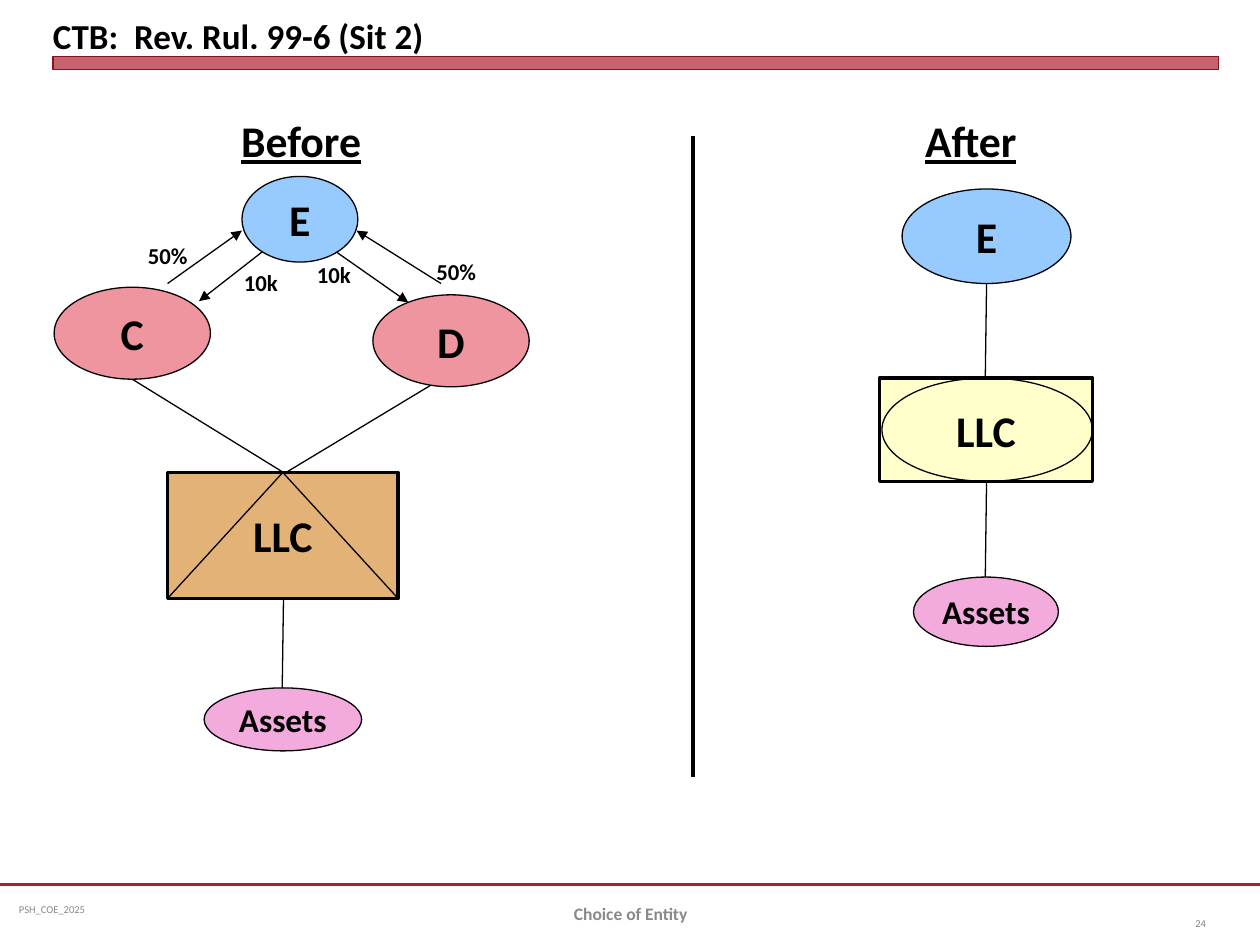
from lxml import etree
from pptx import Presentation
from pptx.dml.color import RGBColor
from pptx.enum import shapes, text
from pptx.oxml import ns
from pptx.util import Inches, Pt

BLACK = RGBColor(0, 0, 0)
RED = RGBColor(0xB0, 0x1C, 0x2E)
DARK = RGBColor(0x82, 0x15, 0x22)
GRAY = RGBColor(0x89, 0x89, 0x89)
DIM = RGBColor(0x80, 0x80, 0x80)
BLUE = RGBColor(0x97, 0xCB, 0xFF)
ROSE = RGBColor(0xEE, 0x95, 0xA0)
TAN = RGBColor(0xE3, 0xB2, 0x76)
CREAM = RGBColor(0xFF, 0xFF, 0xCC)
PINK = RGBColor(0xF3, 0xAB, 0xDE)

OVAL = shapes.MSO_SHAPE.OVAL
RECT = shapes.MSO_SHAPE.RECTANGLE
PEAK = shapes.MSO_SHAPE.ISOSCELES_TRIANGLE
LEFT, MID, RIGHT = text.PP_ALIGN.LEFT, text.PP_ALIGN.CENTER, text.PP_ALIGN.RIGHT


def write(shape, words, size=25, color=BLACK, bold=True, under=False,
          align=MID, anchor=text.MSO_ANCHOR.MIDDLE, wrap=False, pad=(0.1, 0.05)):
    """Put formatted words in a shape."""
    frame = shape.text_frame
    frame.auto_size = text.MSO_AUTO_SIZE.NONE
    frame.word_wrap = wrap
    frame.vertical_anchor = anchor
    frame.margin_left = frame.margin_right = Inches(pad[0])
    frame.margin_top = frame.margin_bottom = Inches(pad[1])
    para = frame.paragraphs[0]
    para.alignment = align
    run = para.add_run()
    run.text = words
    font = run.font
    font.name, font.size, font.bold, font.underline = "Calibri", Pt(size), bold, under
    font.color.rgb = color


def label(slide, words, box, **style):
    """Add a text box."""
    write(slide.shapes.add_textbox(*map(Inches, box)), words, **style)


def node(slide, kind, box, fill=None, words="", size=25, width=0.75, edge=BLACK):
    """Add an outlined shape, with its name if it has one."""
    shape = slide.shapes.add_shape(kind, *map(Inches, box))
    shape.shadow.inherit = False
    if fill is None:
        shape.fill.background()
    else:
        shape.fill.solid()
        shape.fill.fore_color.rgb = fill
    shape.line.color.rgb = edge
    shape.line.width = Pt(width)
    if words:
        write(shape, words, size=size)
    return shape


def link(slide, start, end, color=BLACK, width=0.75, arrow=False):
    """Add a straight line, with an arrowhead at its end if asked."""
    line = slide.shapes.add_connector(
        shapes.MSO_CONNECTOR.STRAIGHT, *map(Inches, (*start, *end)))
    line.line.color.rgb = color
    line.line.width = Pt(width)
    if arrow:
        etree.SubElement(line.line._get_or_add_ln(), ns.qn("a:tailEnd"), type="triangle")
    etree.SubElement(line._element.spPr, ns.qn("a:effectLst"))


def frame(slide):
    """Add the title, its bar and the footer."""
    title = slide.shapes.title
    title.left, title.top, title.width, title.height = map(Inches, (0.42, 0.05, 9.25, 0.4))
    write(title, "CTB:  Rev. Rul. 99-6 (Sit 2)", size=20, align=LEFT,
          anchor=text.MSO_ANCHOR.BOTTOM, wrap=True, pad=(0, 0))
    bar = node(slide, RECT, (0.42, 0.45, 9.25, 0.1), RED, width=0, edge=DARK)
    tint = bar._element.spPr.find(".//" + ns.qn("a:srgbClr"))
    etree.SubElement(tint, ns.qn("a:alpha"), val="69000")
    link(slide, (0, 7.02), (10, 7.02), RED, 1.25)
    label(slide, "PSH_COE_2025", (0.08, 7.02, 2.58, 0.4), size=6, color=GRAY,
          bold=False, align=LEFT, wrap=True, pad=(0.07, 0.04))
    label(slide, "Choice of Entity", (3.42, 7.05, 3.17, 0.4), size=10, color=GRAY)
    label(slide, "24", (9.17, 7.08, 0.5, 0.4), size=6, color=DIM, bold=False,
          align=RIGHT, anchor=text.MSO_ANCHOR.BOTTOM, wrap=True, pad=(0.1, 0.1))


def before(slide):
    """Draw the structure before the sale."""
    label(slide, "Before", (1.8, 0.85, 1.18, 0.52), under=True)
    llc = (1.33, 3.75, 1.83, 1)
    node(slide, OVAL, (0.43, 2.28, 1.24, 0.73), ROSE, "C")
    node(slide, RECT, llc, TAN, "LLC", width=2)
    node(slide, PEAK, llc)
    for start, end in (((1.05, 3.01), (2.25, 3.75)), ((3.63, 2.93), (2.27, 3.75)),
                       ((2.25, 4.75), (2.24, 5.46))):
        link(slide, start, end)
    node(slide, OVAL, (1.62, 5.46, 1.25, 0.5), PINK, "Assets", 19)
    node(slide, OVAL, (1.92, 1.4, 0.92, 0.68), BLUE, "E")
    node(slide, OVAL, (2.96, 2.34, 1.24, 0.73), ROSE, "D")
    for start, end in (((1.33, 2.25), (1.92, 1.83)), ((3.5, 2.25), (2.83, 1.83)),
                       ((2.08, 2), (1.58, 2.39)), ((2.67, 2), (3.24, 2.4))):
        link(slide, start, end, arrow=True)
    for words, x, y in (("50%", 1.07, 1.87), ("50%", 3.36, 1.99),
                        ("10k", 1.81, 2.08), ("10k", 2.39, 2.02)):
        label(slide, words, (x, y, 0.52, 0.32), size=13)


def after(slide):
    """Draw the structure after the sale."""
    label(slide, "After", (7.18, 0.85, 1.05, 0.52), under=True)
    node(slide, OVAL, (7.16, 1.5, 1.34, 0.75), BLUE, "E")
    node(slide, RECT, (6.98, 3, 1.69, 0.82), CREAM, "LLC", width=2)
    node(slide, OVAL, (7, 3, 1.67, 0.82))
    node(slide, OVAL, (7.25, 4.58, 1.15, 0.55), PINK, "Assets", 19)
    for top, low in ((2.25, 3), (3.82, 4.58)):
        link(slide, (7.83, top), (7.82, low))


def main():
    """Build and save the slide."""
    deck = Presentation()
    deck.slide_width, deck.slide_height = Inches(10), Inches(7.5)
    slide = deck.slides.add_slide(deck.slide_layouts[5])
    frame(slide)
    before(slide)
    link(slide, (5.5, 1.08), (5.5, 6.17), width=2.5)
    after(slide)
    deck.save("out.pptx")


if __name__ == "__main__":
    main()
